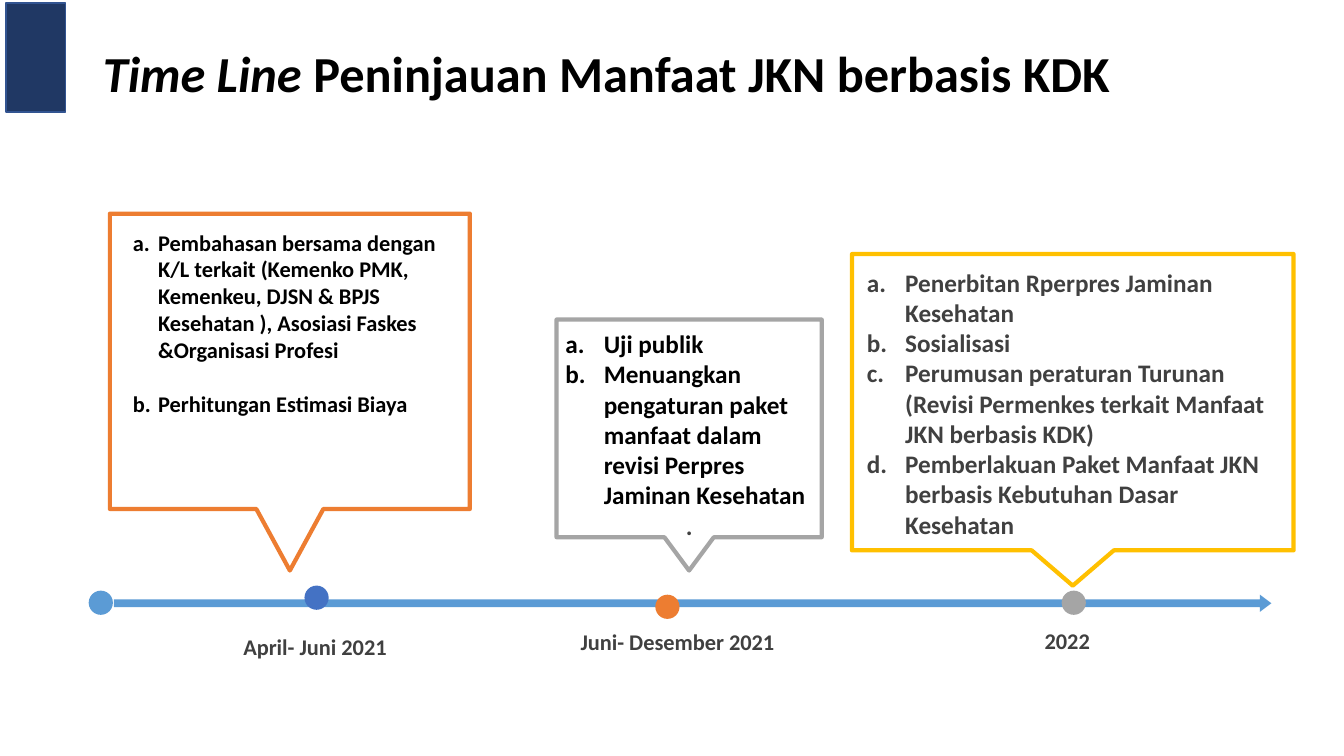
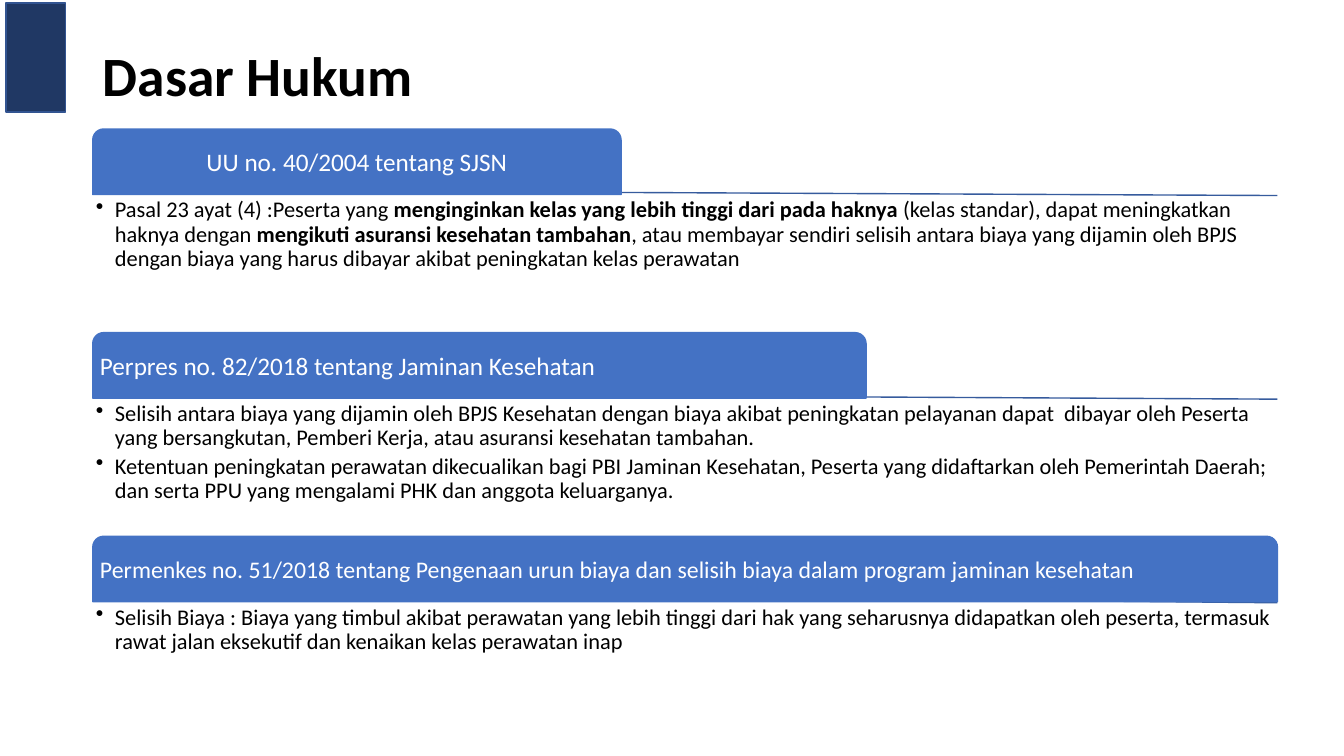
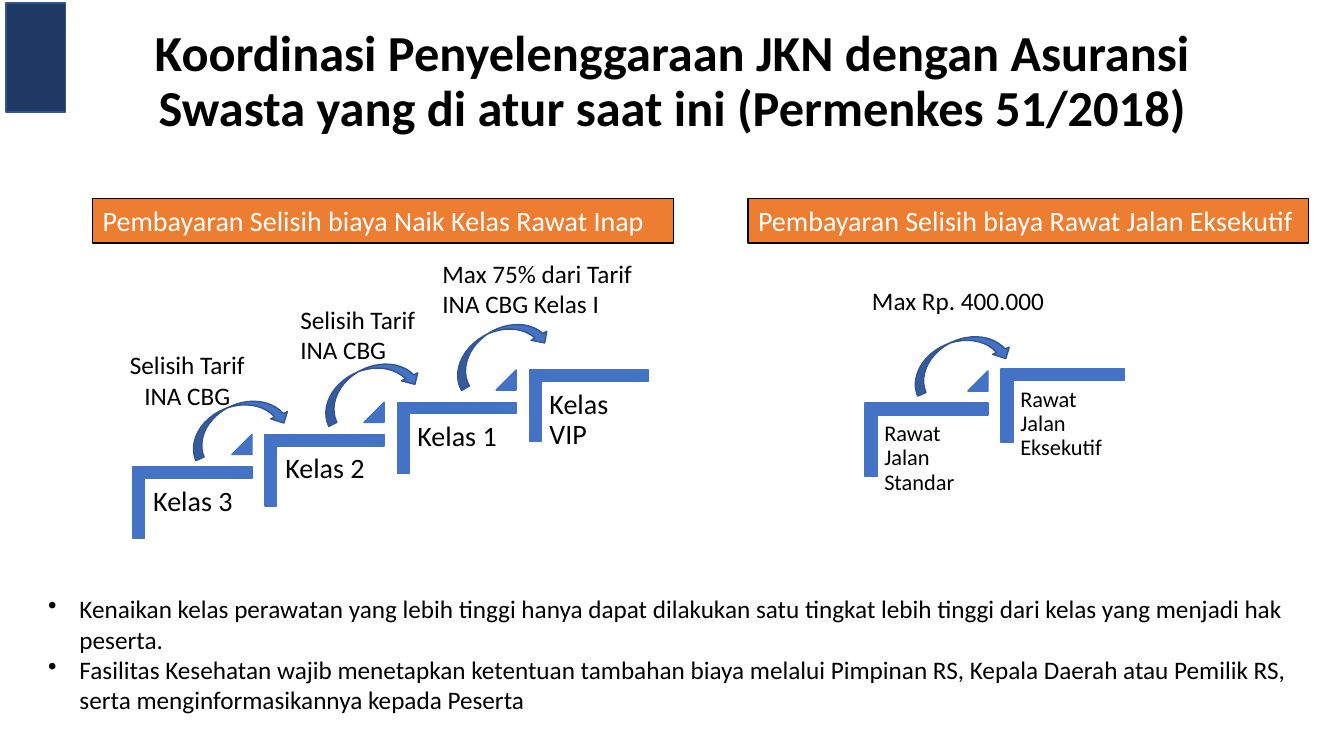
"""Build three slides on the JKN benefit timeline, legal basis and top-up payments."""
from lxml import etree
from pptx import Presentation
from pptx.dml.color import RGBColor
from pptx.enum import shapes, text
from pptx.oxml import ns
from pptx.util import Inches, Pt

FONT = "Calibri"
BLACK = RGBColor(0x00, 0x00, 0x00)
WHITE = RGBColor(0xFF, 0xFF, 0xFF)
CHARCOAL = RGBColor(0x40, 0x40, 0x40)
NAVY = RGBColor(0x20, 0x38, 0x64)
EDGE = RGBColor(0x32, 0x54, 0x91)
RULE = RGBColor(0x36, 0x5B, 0x9D)
BLUE = RGBColor(0x44, 0x72, 0xC4)
SKY = RGBColor(0x5B, 0x9B, 0xD5)
ORANGE = RGBColor(0xED, 0x7D, 0x31)
GRAY = RGBColor(0xA5, 0xA5, 0xA5)
GOLD = RGBColor(0xFF, 0xC0, 0x00)

MSO = shapes.MSO_SHAPE
LEFT, CENTER = text.PP_ALIGN.LEFT, text.PP_ALIGN.CENTER
TOP, MIDDLE = text.MSO_ANCHOR.TOP, text.MSO_ANCHOR.MIDDLE
LETTERS = ("a:buAutoNum", {"type": "alphaLcPeriod"})
DOT = ("a:buChar", {"char": "•"})

CALLOUTS = [
    ((8.45, 2.52, 4.38, 2.94, 5.81), GOLD),
    ((5.52, 3.17, 2.63, 2.16, 5.66), GRAY),
    ((1.09, 2.12, 3.57, 2.93, 5.66), ORANGE),
]
MILESTONE_DOTS = [(0.88, 5.86, SKY), (3.02, 5.81, BLUE), (6.5, 5.9, ORANGE), (10.53, 5.86, GRAY)]
MILESTONE_LABELS = [
    ("April- Juni 2021", (1.92, 6.23, 2.41, 0.37)),
    ("Juni- Desember 2021", (5.38, 6.18, 2.68, 0.37)),
    ("2022", (9.76, 6.17, 1.65, 0.37)),
]
DISCUSSION = [
    "Pembahasan bersama dengan K/L terkait (Kemenko PMK, Kemenkeu, DJSN & BPJS Kesehatan ), "
    "Asosiasi Faskes &Organisasi Profesi",
    "Perhitungan Estimasi Biaya",
]
PUBLIC_TEST = [
    "Uji publik",
    "Menuangkan pengaturan paket manfaat dalam revisi Perpres Jaminan Kesehatan",
]
ENACTMENT = [
    "Penerbitan Rperpres Jaminan Kesehatan",
    "Sosialisasi",
    "Perumusan peraturan Turunan (Revisi Permenkes terkait Manfaat JKN berbasis KDK)",
    "Pemberlakuan Paket Manfaat JKN berbasis Kebutuhan Dasar Kesehatan",
]

LAWS = [
    ("UU no. 40/2004 tentang SJSN", 5.24, 18, CENTER, 2.01, [[
        ("Pasal 23 ayat (4) :Peserta yang ", False),
        ("menginginkan kelas yang lebih tinggi dari pada haknya ", True),
        ("(kelas standar), dapat meningkatkan haknya dengan ", False),
        ("mengikuti asuransi kesehatan tambahan", True),
        (", atau membayar sendiri selisih antara biaya yang dijamin oleh BPJS dengan biaya "
         "yang harus dibayar akibat peningkatan kelas perawatan", False)]]),
    ("Perpres no. 82/2018 tentang Jaminan Kesehatan", 7.67, 18, LEFT, 3.22, [
        "Selisih antara biaya yang dijamin oleh BPJS Kesehatan dengan biaya akibat peningkatan "
        "pelayanan dapat  dibayar oleh Peserta yang bersangkutan, Pemberi Kerja, atau asuransi "
        "kesehatan tambahan.",
        "Ketentuan peningkatan perawatan dikecualikan bagi PBI Jaminan Kesehatan, Peserta yang "
        "didaftarkan oleh Pemerintah Daerah; dan serta PPU yang mengalami PHK dan anggota "
        "keluarganya."]),
    ("Permenkes no. 51/2018 tentang Pengenaan urun biaya dan selisih biaya dalam program "
     "jaminan kesehatan", 11.75, 17, LEFT, 7.44, [
         "Selisih Biaya : Biaya yang timbul akibat perawatan yang lebih tinggi dari hak yang "
         "seharusnya didapatkan oleh peserta, termasuk rawat jalan eksekutif dan kenaikan kelas "
         "perawatan inap"]),
]

STAIRS = [
    dict(steps=["Kelas 3", "Kelas 2", "Kelas 1", "Kelas VIP"], left=1.32, top=4.63,
         run=1.31, rise=0.32, width=1.18, height=0.71, size=20, inset=0.08),
    dict(steps=["Rawat Jalan Standar", "Rawat Jalan Eksekutif"], left=8.58, top=4.0,
         run=1.35, rise=0.34, width=1.22, height=0.73, size=16, inset=0.07),
]
JUMP_ARROWS = [(1.83, 4.02, 336.9), (3.13, 3.66, 334), (4.42, 3.28, 330.2), (8.99, 3.38, 336.9)]
JUMP_LABELS = [
    (["Selisih Tarif", "INA CBG"], (1.19, 3.42, 1.41, 0.71), [LEFT, CENTER]),
    (["Selisih Tarif", "INA CBG"], (2.88, 2.97, 1.41, 0.71), [LEFT, LEFT]),
    (["Max 75% dari Tarif", "INA CBG Kelas I"], (4.29, 2.51, 2.16, 0.71), [LEFT, LEFT]),
    (["Max Rp. 400.000"], (8.55, 2.78, 1.92, 0.4), [LEFT]),
]
BANNERS = [
    ("Pembayaran Selisih biaya Naik Kelas Rawat Inap", (0.92, 1.97, 5.76, 0.44)),
    ("Pembayaran Selisih biaya Rawat Jalan Eksekutif", (7.42, 1.97, 5.56, 0.44)),
]
NOTES = [
    "Kenaikan kelas perawatan yang lebih tinggi hanya dapat dilakukan satu tingkat lebih tinggi "
    "dari kelas yang menjadi hak peserta.",
    "Fasilitas Kesehatan wajib menetapkan ketentuan tambahan biaya melalui Pimpinan RS, Kepala "
    "Daerah atau Pemilik RS, serta menginformasikannya kepada Peserta",
]


def add_run(p, words, size, color, bold=False, italic=False):
    r = p.add_run()
    r.text = words
    f = r.font
    f.name, f.size, f.bold, f.italic = FONT, Pt(size), bold, italic
    f.color.rgb = color


def set_bullet(p, bullet, indent):
    pr = p._p.get_or_add_pPr()
    pr.set("marL", str(Inches(indent)))
    pr.set("indent", str(-Inches(indent)))
    tag, attrs = bullet
    etree.SubElement(pr, ns.qn(tag), attrs)


def fill_text(sp, paras, size, color=BLACK, bold=False, align=LEFT, anchor=TOP, inset=None,
              line=None, after=0, before=0, bullet=None, indent=0, wrap=True):
    tf = sp.text_frame
    tf.word_wrap = wrap
    if not wrap:
        tf.auto_size = text.MSO_AUTO_SIZE.SHAPE_TO_FIT_TEXT
    tf.vertical_anchor = anchor
    if inset is not None:
        tf.margin_left = tf.margin_right = tf.margin_top = tf.margin_bottom = Inches(inset)
    aligns = align if isinstance(align, list) else [align] * len(paras)
    for i, (para, para_align) in enumerate(zip(paras, aligns)):
        p = tf.add_paragraph() if i else tf.paragraphs[0]
        p.alignment = para_align
        p.space_before, p.space_after = Pt(before if i else 0), Pt(after)
        if line:
            p.line_spacing = line
        if bullet:
            set_bullet(p, bullet, indent)
        for words, *style in [(para, bold)] if isinstance(para, str) else para:
            add_run(p, words, size, color, *style)
    return tf


def add_text(s, box, paras, size, **style):
    return fill_text(s.shapes.add_textbox(*map(Inches, box)), paras, size, **style)


def paint(sp, fill=None, line=None, width=1):
    sp.shadow.inherit = False
    for target, color in ((sp.fill, fill), (sp.line.fill, line)):
        if color is None:
            target.background()
        else:
            target.solid()
            target.fore_color.rgb = color
    if line is not None:
        sp.line.width = Pt(width)
    return sp


def add_shape(s, kind, box, fill, line=None, adj=(), rotation=0):
    sp = s.shapes.add_shape(kind, *map(Inches, box))
    for i, value in enumerate(adj):
        sp.adjustments[i] = value
    sp.rotation = rotation
    return paint(sp, fill, line)


def add_callout(s, box, color):
    left, top, width, height, tip = box
    right, bottom = left + width, top + height
    middle, notch = left + width / 2, width * 0.093
    points = [(right, top), (right, bottom), (middle + notch, bottom), (middle, tip),
              (middle - notch, bottom), (left, bottom)]
    fb = s.shapes.build_freeform(Inches(left), Inches(top))
    fb.add_line_segments([(Inches(x), Inches(y)) for x, y in points], close=True)
    paint(fb.convert_to_shape(), line=color, width=3)


def add_rule(s, x1, y1, x2, y2):
    ln = s.shapes.add_connector(shapes.MSO_CONNECTOR.STRAIGHT, *map(Inches, (x1, y1, x2, y2)))
    ln.line.color.rgb = RULE
    ln.line.width = Pt(1)
    etree.SubElement(ln._element.spPr, ns.qn("a:effectLst"))


def add_stairs(s, steps, left, top, run, rise, width, height, size, inset):
    shift = (width - height) / 2
    for i, step in enumerate(steps):
        x, y = left + i * run, top - i * rise
        add_shape(s, MSO.CORNER, (x + shift, y - shift, height, width), BLUE, BLUE,
                  (0.161, 0.161), 90)
        add_text(s, (x + 0.12, y + 0.12, width - 0.11, 0.95), [step], size, inset=inset, line=0.9)
        if i < len(steps) - 1:
            add_shape(s, MSO.ISOSCELES_TRIANGLE, (x + width - 0.2, y - 0.32, 0.2, 0.2),
                      BLUE, BLUE, (1,))


def new_slide(prs, runs, top, height, size=36, align=LEFT):
    s = prs.slides.add_slide(prs.slide_layouts[5])
    title = s.shapes.title
    title.left, title.top, title.width, title.height = map(Inches, (0.92, top, 11.5, height))
    tf = fill_text(title, [runs], size, bold=True, align=align, anchor=MIDDLE, line=0.9)
    tf.auto_size = text.MSO_AUTO_SIZE.NONE
    add_shape(s, MSO.RECTANGLE, (0.06, 0.03, 0.59, 1.08), NAVY, EDGE)
    return s


def build_timeline(prs):
    s = new_slide(prs, [("Time Line ", True, True),
                        ("Peninjauan Manfaat JKN berbasis KDK", True)], 0.4, 0.71)
    for box, color in CALLOUTS:
        add_callout(s, box, color)
    add_shape(s, MSO.RIGHT_ARROW, (1.13, 5.9, 11.48, 0.17), SKY, adj=(0.451, 0.666))
    for x, y, color in MILESTONE_DOTS:
        add_shape(s, MSO.OVAL, (x, y, 0.24, 0.24), color)
    tf = add_text(s, (5.51, 3.21, 2.65, 2.22), PUBLIC_TEST, 18, bold=True,
                  bullet=LETTERS, indent=0.38)
    p = tf.add_paragraph()
    p.alignment = CENTER
    add_run(p, ".", 18, CHARCOAL, True)
    add_text(s, (8.5, 2.6, 4.3, 2.83), ENACTMENT, 18, color=CHARCOAL, bold=True,
             bullet=LETTERS, indent=0.38)
    add_text(s, (1.22, 2.22, 3.31, 1.99), DISCUSSION, 16, bold=True, before=19,
             bullet=LETTERS, indent=0.25)
    for label, box in MILESTONE_LABELS:
        add_text(s, box, [label], 16, color=CHARCOAL, bold=True, align=CENTER)


def build_legal_basis(prs):
    s = new_slide(prs, "Dasar Hukum", 0.41, 0.73, 39.6)
    left, width = 0.92, 11.75
    for i, (law, tab_width, size, align, rule_left, points) in enumerate(LAWS):
        top = 1.28 + 2.02 * i
        add_rule(s, rule_left, top + 0.61, left + width, top + 0.66)
        tab = add_shape(s, MSO.ROUND_2_SAME_RECTANGLE, (left, top, tab_width, 0.65), BLUE, BLUE,
                        (0.167, 0))
        fill_text(tab, [law], size, color=WHITE, align=align, anchor=MIDDLE, inset=0.04, line=0.9)
        add_text(s, (left, top + 0.66, width, 1.31), points, 16, inset=0.03, line=0.9, after=3,
                 bullet=DOT, indent=0.19)


def build_coordination(prs):
    s = new_slide(prs, "Koordinasi Penyelenggaraan JKN dengan Asuransi Swasta yang di atur "
                  "saat ini (Permenkes 51/2018)", 0.24, 1.16, align=CENTER)
    for stairs in STAIRS:
        add_stairs(s, **stairs)
    for lines, box, aligns in JUMP_LABELS:
        add_text(s, box, lines, 18, align=aligns, wrap=False)
    for x, y, angle in JUMP_ARROWS:
        add_shape(s, MSO.CURVED_DOWN_ARROW, (x, y, 1.04, 0.36), BLUE, EDGE, rotation=angle)
    for label, box in BANNERS:
        banner = add_shape(s, MSO.RECTANGLE, box, ORANGE, BLACK)
        fill_text(banner, [label], 20, color=WHITE, wrap=False)
    add_text(s, (0.38, 5.84, 12.58, 1.62), NOTES, 18, bullet=DOT, indent=0.31)


def main():
    prs = Presentation()
    prs.slide_width, prs.slide_height = Inches(13.33), Inches(7.5)
    build_timeline(prs)
    build_legal_basis(prs)
    build_coordination(prs)
    prs.save("out.pptx")


if __name__ == "__main__":
    main()
